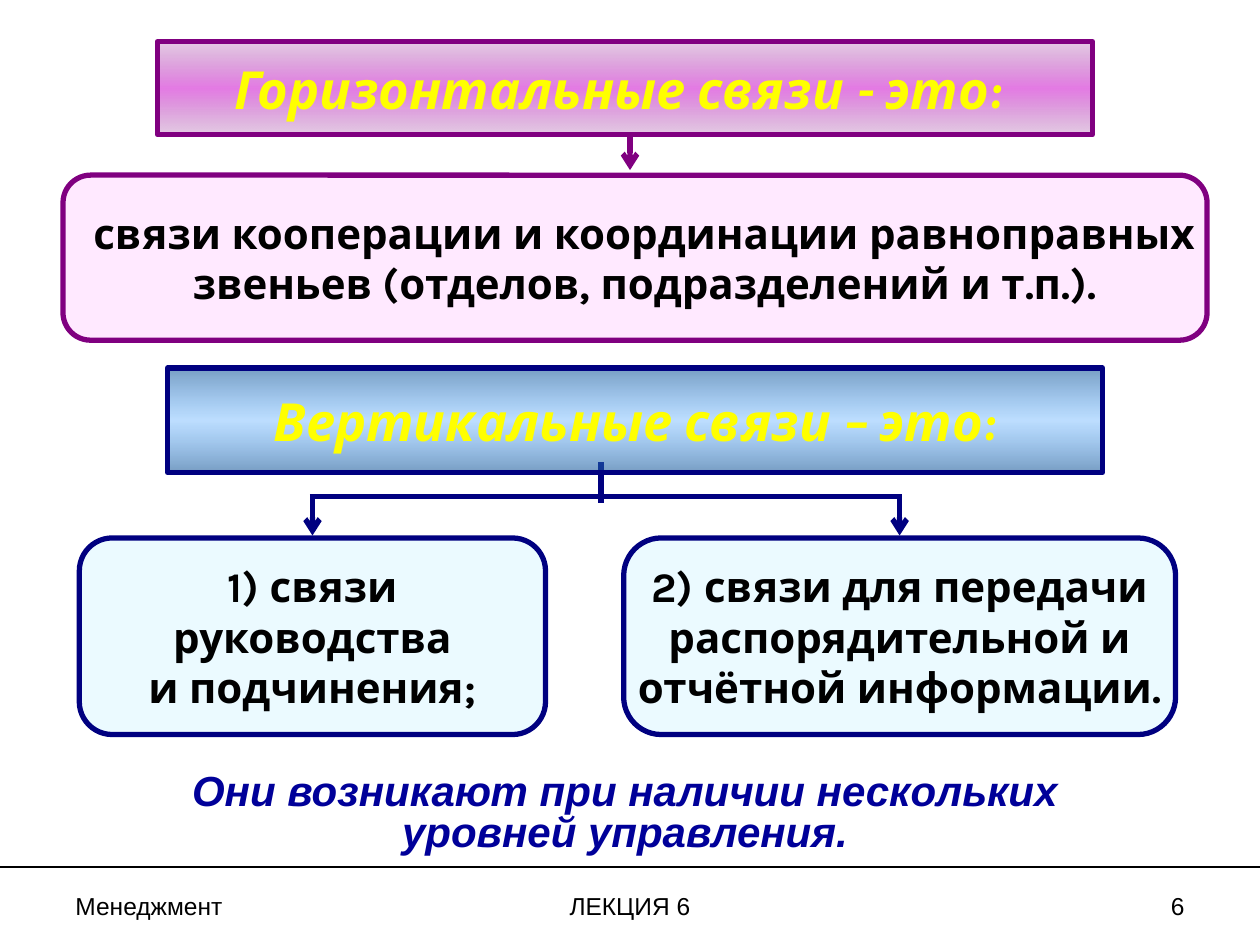
from dataclasses import dataclass

from lxml import etree
from pptx import Presentation
from pptx.dml.color import RGBColor
from pptx.enum import shapes as kinds, text as txt
from pptx.oxml.ns import qn
from pptx.util import Inches, Pt


@dataclass(frozen=True)
class Theme:
    plum: str = "800080"
    pink: str = "FFE9FF"
    navy: str = "000080"
    ice: str = "EBFAFF"
    gold: str = "FFFF00"
    blue: str = "000099"
    black: str = "000000"
    # Gradient stops: place, colour, opacity, all but colour in percent
    plum_fade: tuple = ((0, "800080", 20), (50, "CC00CC", 52), (100, "800080", 20))
    blue_fade: tuple = ((0, "1E5C9A", 60), (50, "3399FF", 32), (100, "1E5C9A", 60))
    main: str = "Karla"
    plain: str = "Arial"
    head: int = 30
    body: int = 24
    foot: int = 14
    edge: float = 3
    rule: float = 1.5


THEME = Theme()
LEFT, MID, RIGHT = txt.PP_ALIGN.LEFT, txt.PP_ALIGN.CENTER, txt.PP_ALIGN.RIGHT


def rgb(code):
    return RGBColor.from_string(code)


def place(shape, box):
    shape.left, shape.top, shape.width, shape.height = map(Inches, box)


def write(shape, lines, size, color, font=THEME.main, bold=True, slant=False,
          align=MID, pads=(0.1, 0.1), wrap=False, anchor=txt.MSO_ANCHOR.MIDDLE):
    frame = shape.text_frame
    frame.text = "\n".join(lines)
    frame.word_wrap = wrap
    frame.auto_size = txt.MSO_AUTO_SIZE.NONE
    frame.vertical_anchor = anchor
    frame.margin_left, frame.margin_right = map(Inches, pads)
    for par in frame.paragraphs:
        par.alignment = align
        par.font.name, par.font.size = font, Pt(size)
        par.font.bold, par.font.italic = bold, slant
        par.font.color.rgb = rgb(color)
    return frame


def edge(shape, color, width=THEME.edge):
    shape.line.color.rgb = rgb(color)
    shape.line.width = Pt(width)


def fade(shape, stops):
    """Fill the shape with a vertical gradient of part-clear stops."""
    shape.fill.gradient()
    shape.fill.gradient_angle = 90
    group = shape.element.spPr.find(qn("a:gradFill")).find(qn("a:gsLst"))
    for old in list(group):
        group.remove(old)
    for spot, color, share in stops:
        stop = etree.SubElement(group, qn("a:gs"), pos=str(spot * 1000))
        tint = etree.SubElement(stop, qn("a:srgbClr"), val=color)
        etree.SubElement(tint, qn("a:alpha"), val=str(share * 1000))


def link(slide, start, end, color, arrow=False, width=THEME.edge):
    line = slide.shapes.add_connector(
        kinds.MSO_CONNECTOR.STRAIGHT, *map(Inches, (*start, *end)))
    edge(line, color, width)
    props = line.element.spPr
    if arrow:
        etree.SubElement(props.find(qn("a:ln")), qn("a:tailEnd"), type="arrow")
    etree.SubElement(props, qn("a:effectLst"))


def banner(shape, box, words, stops, color, pads=(0.1, 0.1)):
    place(shape, box)
    fade(shape, stops)
    edge(shape, color)
    write(shape, [words], THEME.head, THEME.gold, slant=True, pads=pads)


def card(slide, box, lines, fill, color, curve=0.167, pads=(0.1, 0.1)):
    shape = slide.shapes.add_shape(
        kinds.MSO_SHAPE.ROUNDED_RECTANGLE, *map(Inches, box))
    shape.shadow.inherit = False
    shape.adjustments[0] = curve
    shape.fill.solid()
    shape.fill.fore_color.rgb = rgb(fill)
    edge(shape, color)
    write(shape, lines, THEME.body, THEME.black, pads=pads)


def label(slide, box, words, size, color, **style):
    shape = slide.shapes.add_textbox(*map(Inches, box))
    return write(shape, [words], size, color, font=THEME.plain, wrap=True,
                 anchor=txt.MSO_ANCHOR.TOP, **style)


def level_part(slide, box):
    """Show horizontal links: title, arrow and one card."""
    left, top, width, height = box
    banner(slide.shapes.title, (left + 0.75, top, 7.42, 0.74),
           "Горизонтальные связи - это:", THEME.plum_fade, THEME.plum,
           pads=(0.1, 0.2))
    link(slide, (left + 4.5, top + 0.74), (left + 4.5, top + 1.02),
         THEME.plum, arrow=True)
    card(slide, (left, top + 1.06, width, height - 1.06),
         ["связи кооперации и координации равноправных",
          "звеньев (отделов, подразделений и т.п.)."],
         THEME.pink, THEME.plum, pads=(0.2, 0.05))


def upright_part(slide, box):
    """Show vertical links: banner, fork and two cards."""
    left, top, width, height = box
    fork, floor, stem = top + 1.02, top + 1.35, left + 4.14
    link(slide, (stem, top + 0.75), (stem, top + 1.07), THEME.navy)
    cards = (
        (0, 3.7, 0.167, ["1) связи", "руководства", "и подчинения;"]),
        (width - 4.38, 4.38, 0.191,
         ["2) связи для передачи", "распорядительной и",
          "отчётной информации."]),
    )
    mids = [left + shift + span / 2 for shift, span, _, _ in cards]
    half = THEME.edge / 144
    link(slide, (mids[0] - half, fork), (mids[1] + half, fork), THEME.navy)
    for mid in mids:
        link(slide, (mid, fork), (mid, floor - 0.02), THEME.navy, arrow=True)
    shape = slide.shapes.add_shape(kinds.MSO_SHAPE.RECTANGLE, 0, 0, 0, 0)
    shape.shadow.inherit = False
    banner(shape, (left + 0.7, top, 7.42, 0.83), "Вертикальные связи – это:",
           THEME.blue_fade, THEME.navy)
    for shift, span, curve, lines in cards:
        card(slide, (left + shift, floor, span, height - 1.35), lines,
             THEME.ice, THEME.navy, curve)


def note(slide, box):
    frame = label(slide, box,
                  "Они возникают при наличии нескольких\vуровней управления.",
                  THEME.body, THEME.blue, slant=True)
    frame.paragraphs[0].line_spacing = 0.8


def footer(slide, box):
    left, top, width, height = box
    link(slide, (0, top - 0.14), (10, top - 0.14), THEME.black,
         width=THEME.rule)
    for shift, span, words, align in (
            (0, 2.33, "Менеджмент", LEFT),
            ((width - 3.17) / 2, 3.17, "ЛЕКЦИЯ 6", MID),
            (width - 2.33, 2.33, "6", RIGHT)):
        label(slide, (left + shift, top, span, height), words,
              THEME.foot, THEME.black, bold=False, align=align)


def main():
    deck = Presentation()
    deck.slide_width, deck.slide_height = Inches(10), Inches(7.5)
    slide = deck.slides.add_slide(deck.slide_layouts[5])
    level_part(slide, (0.5, 0.33, 9.08, 2.37))
    upright_part(slide, (0.63, 2.92, 8.7, 2.91))
    note(slide, (0.5, 6.1, 8.92, 0.74))
    footer(slide, (0.5, 7.02, 9, 0.34))
    deck.save("out.pptx")


if __name__ == "__main__":
    main()
